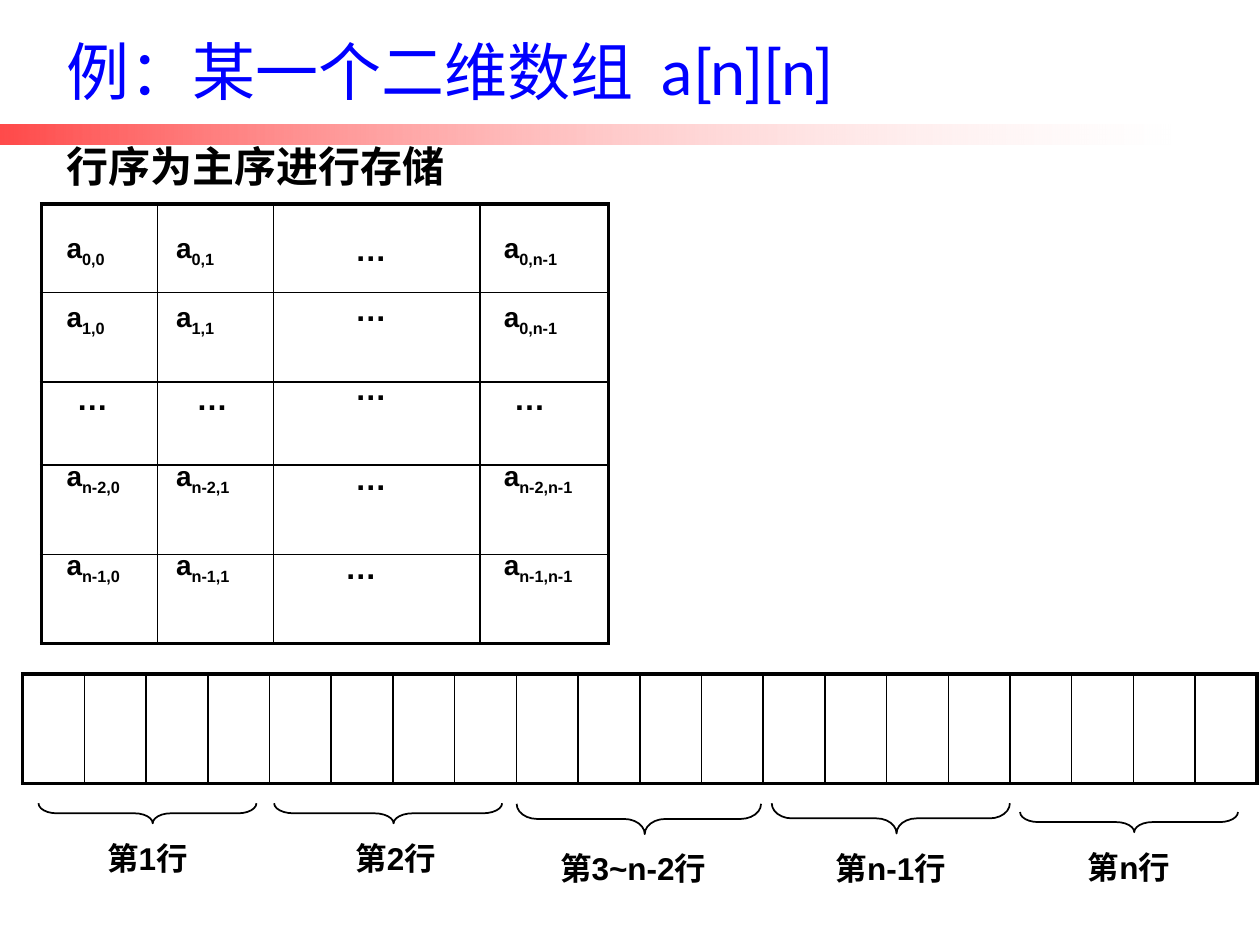
from lxml import etree
from pptx import Presentation
from pptx import util as u
from pptx.dml.color import RGBColor
from pptx.enum import shapes, text
from pptx.oxml import ns

BLACK = RGBColor(0, 0, 0)
BLUE = RGBColor(0, 0, 255)
RED = RGBColor(255, 0, 0)
WHITE = RGBColor(255, 255, 255)
CHINESE = "Noto Sans CJK SC"

deck = Presentation()
deck.slide_width, deck.slide_height = u.Inches(10), u.Inches(7.5)
UNIT = deck.slide_width / 100
page = deck.slides.add_slide(deck.slide_layouts[5])


def grid(*lengths):
    return [u.Emu(round(length * UNIT)) for length in lengths]


def write(box, parts, size, font="Arial", color=BLACK, bold=True, align=text.PP_ALIGN.LEFT):
    frame = box.text_frame
    frame.word_wrap = True
    frame.auto_size = text.MSO_AUTO_SIZE.NONE
    frame.vertical_anchor = text.MSO_ANCHOR.TOP
    para = frame.paragraphs[0]
    para.alignment = align
    for index, part in enumerate(parts):
        span = para.add_run()
        span.text = part
        span.font.size, span.font.bold = u.Pt(size), bold
        span.font.name, span.font.color.rgb = font, color
        properties = span.font._element
        etree.SubElement(properties, ns.qn("a:ea"), typeface=CHINESE)
        if index:
            properties.set("baseline", "-25000")


bar = page.shapes.add_shape(shapes.MSO_SHAPE.RECTANGLE, *grid(0, 9.9, 92.9, 1.6))
bar.shadow.inherit = False
bar.line.fill.background()
bar.fill.gradient()
bar.fill.gradient_angle = 0
for stop, color, opacity in zip(bar.fill.gradient_stops, (RED, WHITE), (71, 18)):
    stop.color.rgb = color
    for node in stop._gs.iter(ns.qn("a:srgbClr")):
        etree.SubElement(node, ns.qn("a:alpha"), val=str(opacity * 1000))

title = page.shapes.title
title.left, title.top, title.width, title.height = grid(4.3, 2.1, 74, 7)
write(title, ["例：某一个二维数组  a[n][n]"], 36, "Lato", BLUE, False)

heading = page.shapes.add_textbox(*grid(4.3, 10.7, 40.2, 5))
write(heading, ["行序为主序进行存储"], 24, CHINESE)

tables = [
    (3.3, 16.2, [9.2, 9.2, 16.4, 10.2], [7, 7.1, 6.6, 7.1, 7.1]),
    (1.8, 53.5, [4.9] * 20, [8.7]),
]
for left, top, widths, heights in tables:
    frame = page.shapes.add_table(
        len(heights), len(widths), *grid(left, top, sum(widths), sum(heights)))
    table = frame.table
    table.first_row = table.horz_banding = False
    for column, width in zip(table.columns, grid(*widths)):
        column.width = width
    for row, height in zip(table.rows, grid(*heights)):
        row.height = height
    last_row, last_column = len(heights) - 1, len(widths) - 1
    for r in range(len(heights)):
        for c in range(len(widths)):
            cell = table.cell(r, c)
            properties = cell._tc.get_or_add_tcPr()
            outer = {"L": c == 0, "R": c == last_column, "T": r == 0, "B": r == last_row}
            for side, is_outer in outer.items():
                points = u.Pt(2.25 if is_outer else 1)
                border = etree.SubElement(properties, ns.qn(f"a:ln{side}"), w=str(points))
                fill = etree.SubElement(border, ns.qn("a:solidFill"))
                etree.SubElement(fill, ns.qn("a:srgbClr"), val=str(BLACK))
            cell.fill.background()

element_columns = [(4.3, 7.1), (13, 7.1), (39, 9.5)]
element_rows = [
    (17.8, ["0,0", "0,1", "0,n-1"]),
    (23.3, ["1,0", "1,1", "0,n-1"]),
    (35.9, ["n-2,0", "n-2,1", "n-2,n-1"]),
    (43, ["n-1,0", "n-1,1", "n-1,n-1"]),
]
for top, indices in element_rows:
    for (left, width), index in zip(element_columns, indices):
        write(page.shapes.add_textbox(*grid(left, top, width, 3.7)), ["a", index], 16)

dots = [(27.2, top) for top in (17.8, 22.5, 28.8, 35.9)] + [(26.4, 43)]
dots += [(left, 29.6) for left in (5.1, 14.6, 39.8)]
for left, top in dots:
    write(page.shapes.add_textbox(*grid(left, top, 4.7, 4)), ["…"], 18)

row_groups = [
    ("第1行", (10.9, 55.9, 1.6, 17.3), 0.904, (5.4, 66.1, 12.6)),
    ("第2行", (30, 55.5, 1.6, 18.1), 0.956, (25.1, 66.1, 12.6)),
    ("第3~n-2行", (49.5, 55.3, 2.4, 19.4), 0.679, (42.4, 66.9, 15.7)),
    ("第n-1行", (69.5, 55.5, 2.4, 18.9), 0.662, (65.2, 66.9, 11)),
    ("第n行", (88.8, 56.6, 1.6, 17.3), 0.904, (84.9, 66.8, 9.4)),
]
for label, place, curve, label_place in row_groups:
    brace = page.shapes.add_shape(shapes.MSO_SHAPE.RIGHT_BRACE, *grid(*place))
    brace.rotation = 90
    brace.adjustments[0], brace.adjustments[1] = curve, 0.476
    brace.shadow.inherit = False
    brace.fill.background()
    brace.line.color.rgb, brace.line.width = BLACK, u.Pt(1)
    caption = page.shapes.add_textbox(*grid(*label_place, 4))
    write(caption, [label], 18, align=text.PP_ALIGN.CENTER)

deck.save("out.pptx")
